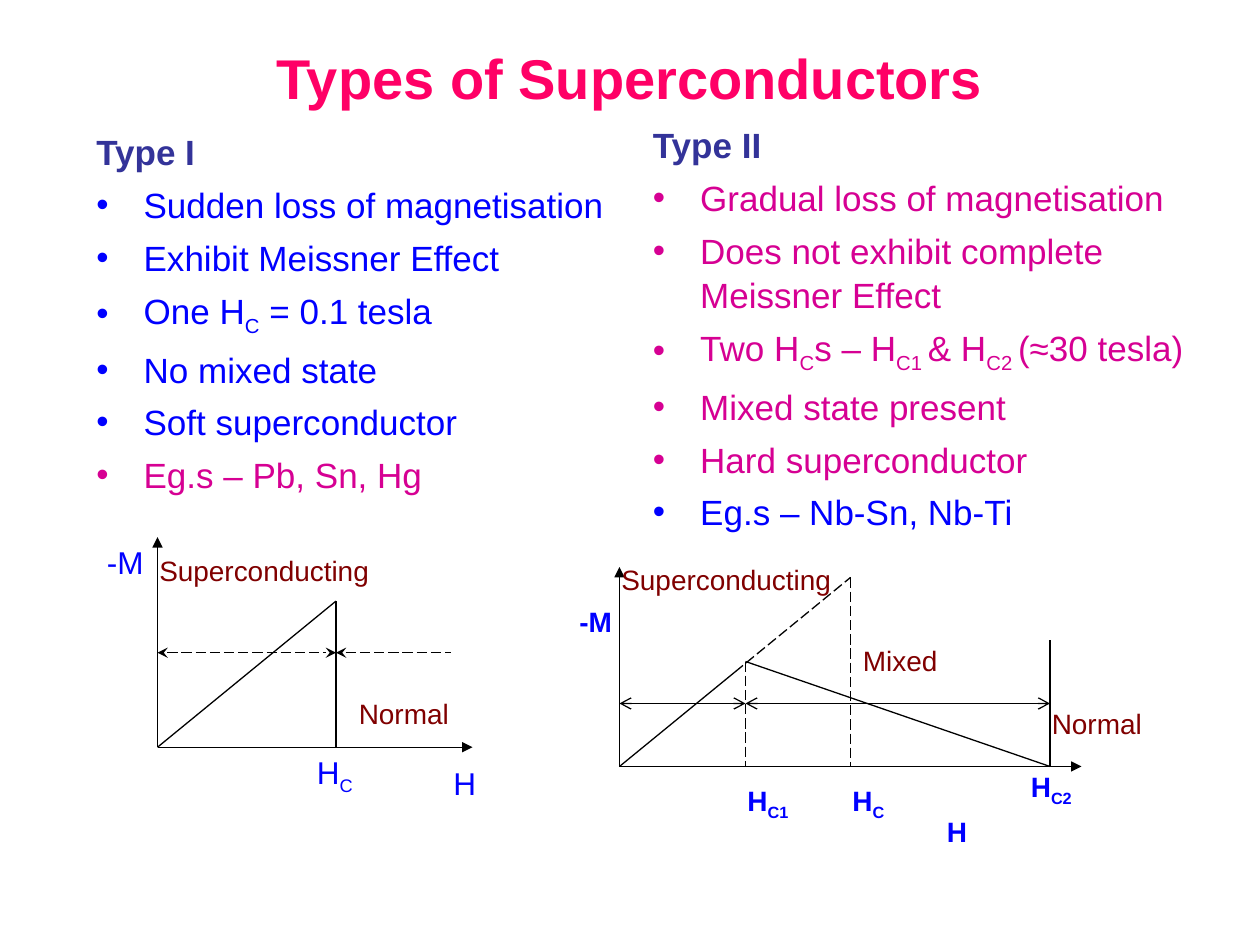
from pptx import Presentation
from pptx.dml.color import RGBColor
from pptx.enum.dml import MSO_LINE
from pptx.enum.shapes import MSO_CONNECTOR
from pptx.enum.text import MSO_ANCHOR, MSO_AUTO_SIZE, PP_ALIGN
from pptx.oxml.ns import qn
from pptx.util import Pt
from lxml.etree import SubElement

BLACK = RGBColor(0x00, 0x00, 0x00)
ROSE = RGBColor(0xFF, 0x00, 0x66)
NAVY = RGBColor(0x33, 0x33, 0x99)
BLUE = RGBColor(0x00, 0x00, 0xFF)
PINK = RGBColor(0xD6, 0x00, 0x93)
MAROON = RGBColor(0x80, 0x00, 0x00)


def apply(obj, form):
    """Set each attribute named in a dict."""
    for name, value in form.items():
        setattr(obj, name, value)


def write(para, text, size, color, bold=False):
    """Write text in which each part between underscores is a subscript."""
    for pos, part in enumerate(text.split("_")):
        if part:
            run = para.add_run()
            run.text = part
            apply(run.font, dict(name="Arial", size=Pt(size), bold=bold))
            run.font.color.rgb = color
            if pos % 2:
                run.font._element.set("baseline", "-25000")


def frame(shapes, box, **form):
    """Add a wrapping text box and return its text frame."""
    text = shapes.add_textbox(*map(Pt, box)).text_frame
    apply(text, dict(word_wrap=True, **form))
    return text


def title(slide, box, text):
    """Place the centred slide title."""
    para = frame(slide.shapes, box, vertical_anchor=MSO_ANCHOR.MIDDLE).paragraphs[0]
    para.alignment = PP_ALIGN.CENTER
    write(para, text, 32, ROSE, True)


def bullet(para, color):
    """Give a paragraph a coloured bullet and a hanging indent."""
    props = para._p.get_or_add_pPr()
    props.set("marL", str(Pt(27)))
    props.set("indent", str(-Pt(27)))
    tint = SubElement(props, qn("a:buClr"))
    SubElement(tint, qn("a:srgbClr")).set("val", str(color))
    SubElement(props, qn("a:buFont")).set("typeface", "Arial")
    SubElement(props, qn("a:buChar")).set("char", "•")


def column(slide, box, head, facts, color, last):
    """Place a heading and its facts, the final fact in its own colour."""
    text = frame(slide.shapes, box)
    first = text.paragraphs[0]
    first.line_spacing = 1.05
    write(first, head, 20, NAVY, True)
    for fact in facts:
        para = text.add_paragraph()
        tone = last if fact == facts[-1] else color
        bullet(para, tone)
        apply(para, dict(space_before=Pt(5), line_spacing=1.05))
        write(para, fact, 20, tone)


def rule(shapes, box, ends, head=None, tail=None, dash=False):
    """Draw a thin line inside a box, with optional arrowheads and dashes."""
    x, y, *_ = box
    a, b, c, d = ends
    link = shapes.add_connector(
        MSO_CONNECTOR.STRAIGHT, Pt(x + a), Pt(y + b), Pt(x + c), Pt(y + d))
    SubElement(link._element.spPr, qn("a:effectLst"))
    link.line.width = Pt(0.75)
    link.line.color.rgb = BLACK
    if dash:
        link.line.dash_style = MSO_LINE.LONG_DASH
    stroke = link.line._get_or_add_ln()
    for tag, kind in (("a:headEnd", head), ("a:tailEnd", tail)):
        if kind:
            SubElement(stroke, qn(tag)).set("type", kind)


def label(shapes, box, place, text, size, color, bold=False):
    """Place a label inside a box."""
    x, y, *_ = box
    left, top, width = place
    tall = size * 1.15 + (10.5 if "_" in text else 8)
    text_frame = frame(shapes, (x + left, y + top, width, tall),
                       auto_size=MSO_AUTO_SIZE.SHAPE_TO_FIT_TEXT)
    write(text_frame.paragraphs[0], text, size, color, bold)


def graph(slide, box, lines, marks):
    """Draw the grouped lines and labels of one graph."""
    shapes = slide.shapes.add_group_shape().shapes
    for ends, form in lines:
        rule(shapes, box, ends, **form)
    for mark in marks:
        label(shapes, box, *mark)


def sharp(slide, box):
    """Draw the Type I graph with its sudden drop."""
    left, base, crit, peak, mid = 36, 120, 138, 36.5, 66
    axis = dict(tail="triangle")
    lines = [
        ((left, base, left, 0), axis),
        ((left, base, 216, base), axis),
        ((left, base, crit, peak), {}),
        ((crit, peak, crit, base), {}),
        ((left, mid, crit, mid), dict(head="stealth", tail="stealth", dash=True)),
        ((crit, mid, 204, mid), dict(head="stealth", dash=True)),
    ]
    marks = [
        ((0, 0, 36), "-M", 18, BLUE),
        ((198, 126, 36), "H", 18, BLUE),
        ((120, base, 38), "H_C_", 18, BLUE),
        ((30, 6, 150), "Superconducting", 16, MAROON),
        ((144, 87.5, 72), "Normal", 16, MAROON),
    ]
    graph(slide, box, lines, marks)


def mixed(slide, box):
    """Draw the Type II graph with its mixed state."""
    left, base, low, crit, high, mid = 30, 120, 102, 162, 276, 84
    axis, span, dash = dict(tail="triangle"), dict(head="arrow", tail="arrow"), dict(dash=True)
    lines = [
        ((crit, 12, crit, base), dash),
        ((low, 60, low, base), dash),
        ((left, base, left, 6), axis),
        ((left, base, 294, base), axis),
        ((left, base, 96, 66), {}),
        ((96, 66, crit, 12), dash),
        ((low, 60, high, base), {}),
        ((left, mid, low, mid), span),
        ((low, mid, high, mid), span),
        ((high, base, high, 48), {}),
    ]
    marks = [
        ((24, 0, 144), "Superconducting", 16, MAROON),
        ((0, 24, 36), "-M", 16, BLUE, True),
        ((270, 82, 66), "Normal", 16, MAROON),
        ((162, 46, 60), "Mixed", 16, MAROON),
        ((96, 126, 48), "H_C1_", 16, BLUE, True),
        ((156, 126, 54), "H_C_", 16, BLUE, True),
        ((258, 118, 42), "H_C2_", 16, BLUE, True),
        ((210, 144, 36), "H", 16, BLUE, True),
    ]
    graph(slide, box, lines, marks)


def main():
    """Build and save the slide."""
    deck = Presentation()
    apply(deck, dict(slide_width=Pt(720), slide_height=Pt(540)))
    slide = deck.slides.add_slide(deck.slide_layouts[6])
    title(slide, (36, 21.6, 648, 44.6), "Types of Superconductors")
    column(slide, (48, 70, 318, 386.6), "Type I", [
        "Sudden loss of magnetisation",
        "Exhibit Meissner Effect",
        "One H_C_ = 0.1 tesla",
        "No mixed state",
        "Soft superconductor",
        "Eg.s – Pb, Sn, Hg",
    ], BLUE, PINK)
    column(slide, (366, 66, 318.3, 386.6), "Type II", [
        "Gradual loss of magnetisation",
        "Does not exhibit complete Meissner Effect",
        "Two H_C_s – H_C1 _& H_C2 _(≈30 tesla)",
        "Mixed state present",
        "Hard superconductor",
        "Eg.s – Nb-Sn, Nb-Ti",
    ], PINK, BLUE)
    sharp(slide, (54, 307, 234, 155))
    mixed(slide, (324, 318, 336, 171))
    deck.save("out.pptx")


if __name__ == "__main__":
    main()
